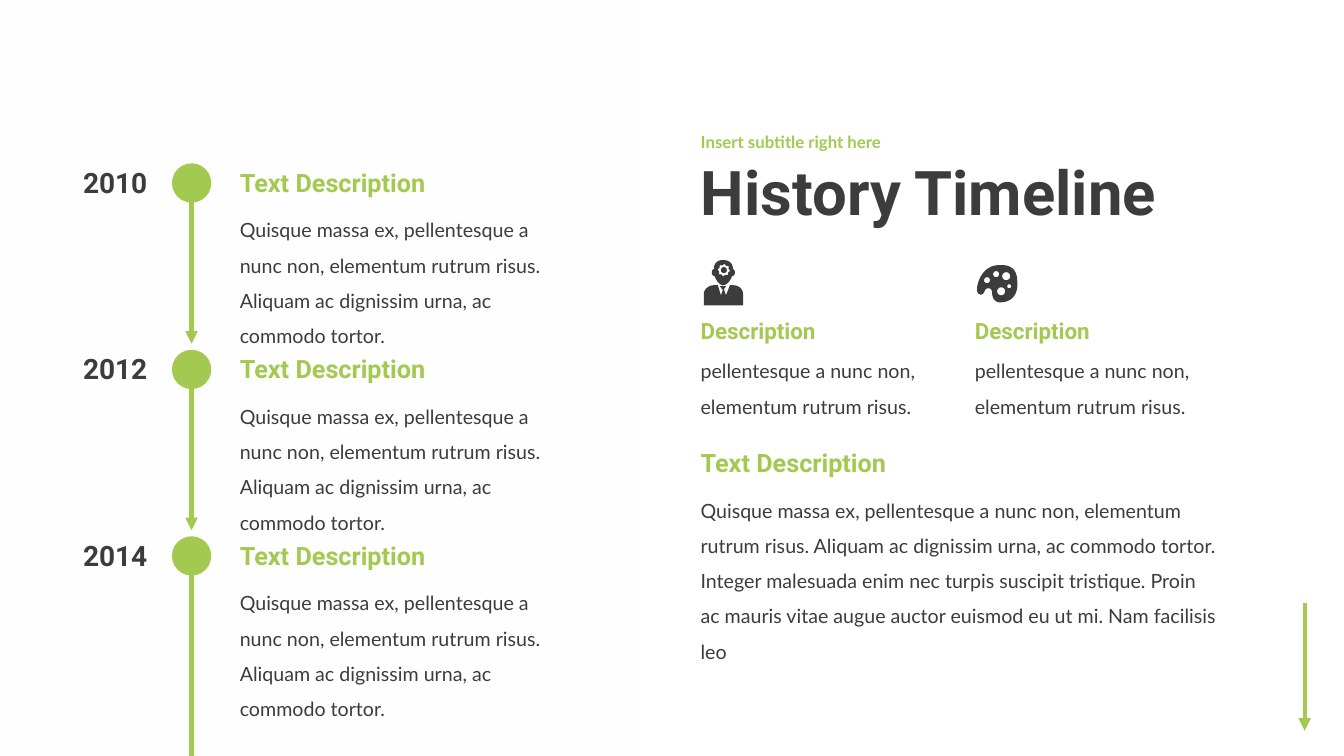
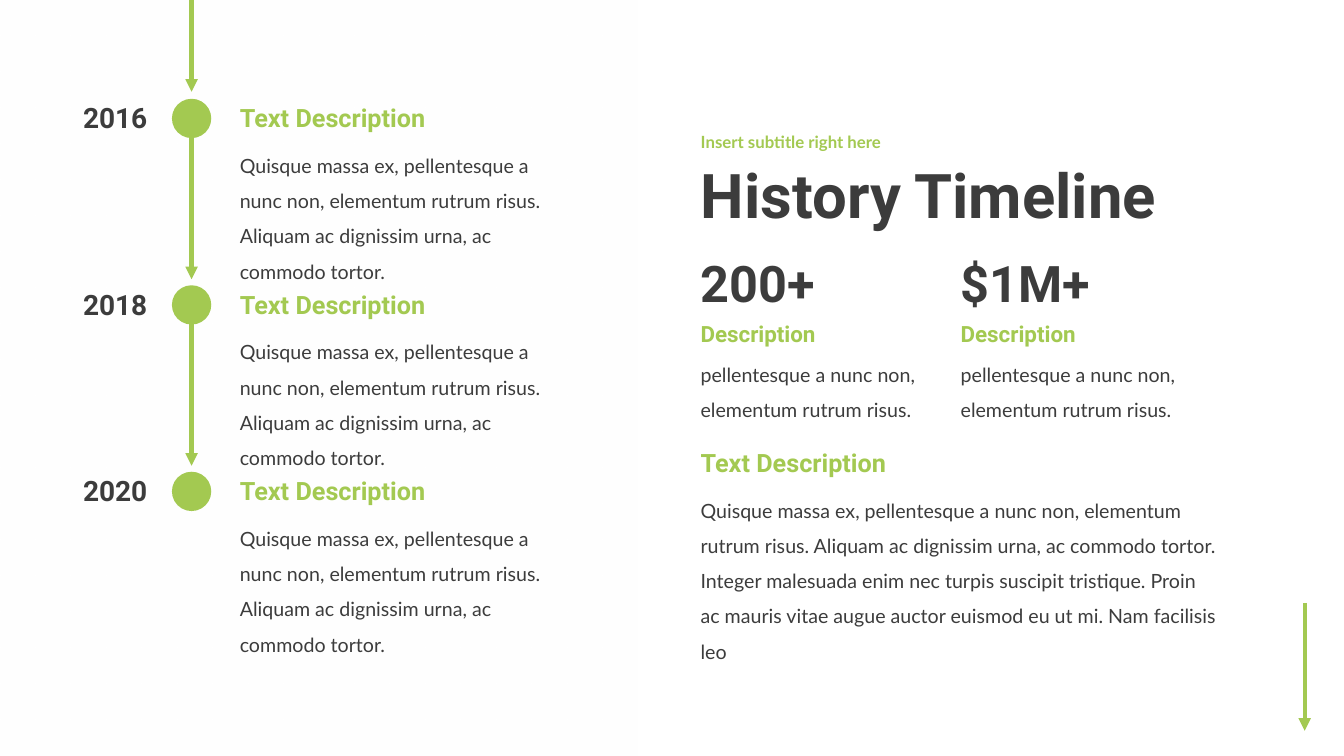
"""Build two history timeline slides."""
import math
from dataclasses import dataclass

import lxml.etree
import pptx
import pptx.dml.color
import pptx.enum.shapes
import pptx.enum.text
import pptx.oxml.ns
import pptx.util

Inches = pptx.util.Inches


@dataclass(frozen=True)
class TextStyle:
    font: str
    size: int
    color: str
    bold: bool = True
    spacing: float = 1.0


class Theme:
    green = "A3C951"
    dark = "3C3C3C"
    white = "FFFFFF"
    line_width = 3
    title = TextStyle("Roboto", 44, dark, spacing=0.9)
    subtitle = TextStyle("Lato", 12, green, spacing=0.9)
    figure = TextStyle("Roboto", 36, dark)
    year = TextStyle("Roboto", 20, dark)
    heading = TextStyle("Roboto", 18, green)
    subheading = TextStyle("Roboto", 16, green)
    body = TextStyle("Lato", 14, dark, bold=False, spacing=1.5)


SUMMARY = ("Quisque massa ex, pellentesque a nunc non, elementum rutrum risus. "
           "Aliquam ac dignissim urna, ac commodo tortor.")
DETAILS = SUMMARY + (" Integer malesuada enim nec turpis suscipit tristique. Proin ac mauris "
                     "vitae augue auctor euismod eu ut mi. Nam facilisis leo")
FEATURE = "pellentesque a nunc non, elementum rutrum risus."

COLUMN_LEFT = 6.85
AXIS_X = 1.9
DOT_SIZE = 0.39
STEP = 1.85
SLIDE_HEIGHT = 7.5

HEAD = ((7.27, 2.67), (
    ((7.27, 2.61), (7.23, 2.58), (7.17, 2.58)),
    ((7.12, 2.58), (7.08, 2.61), (7.08, 2.67)),
    ((7.07, 2.67), (7.06, 2.69), (7.06, 2.7)),
    ((7.06, 2.72), (7.07, 2.74), (7.09, 2.74)),
    ((7.1, 2.78), (7.14, 2.83), (7.17, 2.83)),
    ((7.21, 2.83), (7.25, 2.78), (7.26, 2.74)),
    ((7.28, 2.74), (7.29, 2.72), (7.29, 2.7)),
    ((7.29, 2.69), (7.28, 2.67), (7.27, 2.67))))
TORSO = ((7.27, 2.83), (
    ((7.24, 2.83),), ((7.2, 2.93),), ((7.18, 2.87),), ((7.2, 2.84),),
    ((7.14, 2.84),), ((7.17, 2.88),), ((7.15, 2.93),), ((7.12, 2.83),), ((7.08, 2.83),),
    ((7.03, 2.83), (6.98, 2.87), (6.98, 2.92)),
    ((6.98, 3.03),), ((7.37, 3.03),), ((7.37, 2.92),),
    ((7.37, 2.87), (7.33, 2.83), (7.27, 2.83))))
PALETTE = ((9.91, 2.63), (
    ((9.76, 2.63), (9.69, 2.78), (9.69, 2.88)),
    ((9.69, 2.91), (9.74, 2.96), (9.77, 2.88)),
    ((9.78, 2.85), (9.84, 2.85), (9.84, 2.9)),
    ((9.84, 2.96), (9.87, 3), (9.92, 3)),
    ((10.07, 3), (10.1, 2.87), (10.09, 2.8)),
    ((10.09, 2.72), (10.07, 2.62), (9.91, 2.63))))
PAINT_WELLS = ((9.79, 2.78, 0.03), (9.88, 2.72, 0.03), (9.93, 2.89, 0.04),
               (10.01, 2.84, 0.02), (9.98, 2.74, 0.04))


def bezier_point(controls, t):
    degree = len(controls) - 1
    weights = [math.comb(degree, i) * t ** i * (1 - t) ** (degree - i)
               for i in range(degree + 1)]
    return tuple(sum(w * c[axis] for w, c in zip(weights, controls)) for axis in (0, 1))


def trace(start, segments):
    points = [start]
    for segment in segments:
        controls = (points[-1], *segment)
        steps = 1 if len(segment) == 1 else 12
        points += [bezier_point(controls, i / steps) for i in range(1, steps + 1)]
    return points


def ring(x, y, radii, count):
    turns = [2 * math.pi * i / count for i in range(count)]
    return [(x + radii[i % len(radii)] * math.cos(turn),
             y + radii[i % len(radii)] * math.sin(turn)) for i, turn in enumerate(turns)]


class Deck:
    """Hold the theme and the current slide, and draw each kind of element."""

    def __init__(self, theme):
        self.theme = theme
        self.presentation = pptx.Presentation()
        self.presentation.slide_width = Inches(13.33)
        self.presentation.slide_height = Inches(SLIDE_HEIGHT)
        self.slide = None

    def rgb(self, color):
        return pptx.dml.color.RGBColor.from_string(color)

    def new_slide(self, title_top, panel_alphas):
        self.slide = self.presentation.slides.add_slide(self.presentation.slide_layouts[0])
        self.panel(panel_alphas)
        title, subtitle = self.slide.placeholders
        self.placeholder(title, "History Timeline", self.theme.title, title_top, 1.03)
        self.placeholder(subtitle, "Insert subtitle right here", self.theme.subtitle, 1.23, 0.38)
        self.line(12.94, 5.98, 7.25)

    def panel(self, alphas):
        panel = self.slide.shapes.add_shape(
            pptx.enum.shapes.MSO_SHAPE.RECTANGLE, 0, 0, Inches(6.32), Inches(SLIDE_HEIGHT))
        panel.shadow.inherit = False
        panel.line.fill.background()
        panel.fill.gradient()
        panel.fill.gradient_angle = 270
        for stop in panel.fill.gradient_stops:
            stop.color.rgb = self.rgb(self.theme.white)
        colors = panel.element.xpath(".//a:gs/a:srgbClr")
        for color, alpha in zip(colors, alphas):
            lxml.etree.SubElement(color, pptx.oxml.ns.qn("a:alpha"), val=str(alpha * 1000))

    def fill_text(self, frame, content, style, align=pptx.enum.text.PP_ALIGN.LEFT):
        frame.word_wrap = True
        frame.text = content
        paragraph = frame.paragraphs[0]
        paragraph.alignment = align
        paragraph.line_spacing = style.spacing
        paragraph.space_before = pptx.util.Pt(0)
        paragraph.font.name = style.font
        paragraph.font.size = pptx.util.Pt(style.size)
        paragraph.font.bold = style.bold
        paragraph.font.color.rgb = self.rgb(style.color)

    def placeholder(self, holder, content, style, top, height):
        holder.left, holder.top = Inches(COLUMN_LEFT), Inches(top)
        holder.width, holder.height = Inches(7.5), Inches(height)
        holder.text_frame.auto_size = pptx.enum.text.MSO_AUTO_SIZE.NONE
        holder.text_frame.vertical_anchor = pptx.enum.text.MSO_ANCHOR.MIDDLE
        self.fill_text(holder.text_frame, content, style)

    def text(self, content, style, left, top, width, height,
             align=pptx.enum.text.PP_ALIGN.LEFT):
        box = self.slide.shapes.add_textbox(
            Inches(left), Inches(top), Inches(width), Inches(height))
        self.fill_text(box.text_frame, content, style, align)
        box.text_frame.auto_size = pptx.enum.text.MSO_AUTO_SIZE.SHAPE_TO_FIT_TEXT

    def paint(self, shape, color):
        shape.shadow.inherit = False
        shape.fill.solid()
        shape.fill.fore_color.rgb = self.rgb(color)
        shape.line.fill.background()

    def dot(self, x, y, size, color):
        dot = self.slide.shapes.add_shape(
            pptx.enum.shapes.MSO_SHAPE.OVAL, Inches(x - size / 2), Inches(y - size / 2),
            Inches(size), Inches(size))
        self.paint(dot, color)

    def line(self, x, start, end, arrow=True):
        line = self.slide.shapes.add_connector(
            pptx.enum.shapes.MSO_CONNECTOR.STRAIGHT,
            Inches(x), Inches(start), Inches(x), Inches(end))
        line.line.color.rgb = self.rgb(self.theme.green)
        line.line.width = pptx.util.Pt(self.theme.line_width)
        properties = line.element.spPr
        if arrow:
            stroke = properties.find(pptx.oxml.ns.qn("a:ln"))
            lxml.etree.SubElement(stroke, pptx.oxml.ns.qn("a:tailEnd"), type="triangle")
        lxml.etree.SubElement(properties, pptx.oxml.ns.qn("a:effectLst"))

    def silhouette(self, *contours):
        outlines = [[(Inches(x), Inches(y)) for x, y in contour] for contour in contours]
        builder = self.slide.shapes.build_freeform(*outlines[0][0])
        builder.add_line_segments(outlines[0][1:])
        for hole in outlines[1:]:
            builder.move_to(*hole[0])
            builder.add_line_segments(hole[1:])
        self.paint(builder.convert_to_shape(), self.theme.dark)

    def thinker_icon(self):
        self.silhouette(trace(*TORSO))
        gear = ring(7.18, 2.68, (0.06, 0.06, 0.05, 0.05), 32)
        self.silhouette(trace(*HEAD), gear)
        self.dot(7.18, 2.68, 0.06, self.theme.dark)

    def palette_icon(self):
        wells = [ring(x, y, (radius,), 24) for x, y, radius in PAINT_WELLS]
        self.silhouette(trace(*PALETTE), *wells)

    def milestone(self, year, top):
        self.dot(AXIS_X, top + DOT_SIZE / 2, DOT_SIZE, self.theme.green)
        self.text(year, self.theme.year, 0.57, top - 0.03, 0.99, 0.44,
                  pptx.enum.text.PP_ALIGN.RIGHT)
        self.text(SUMMARY, self.theme.body, 2.28, top + 0.38, 3.47, 1.12)
        self.text("Text Description", self.theme.heading, 2.28, top - 0.01, 2.92, 0.4)

    def timeline(self, years, first_top):
        tops = [first_top + i * STEP for i in range(len(years))]
        for year, top in zip(years, tops):
            self.milestone(year, top)
        for top in tops[:-1]:
            self.line(AXIS_X, top + 0.38, top + 1.79)
        return tops

    def feature(self, left, top):
        self.text("Description", self.theme.subheading, left, top, 2, 0.37)
        self.text(FEATURE, self.theme.body, left, top + 0.3, 2.53, 0.77)

    def details(self):
        self.text("Text Description", self.theme.heading, COLUMN_LEFT, 4.39, 2.92, 0.4)
        self.text(DETAILS, self.theme.body, COLUMN_LEFT, 4.78, 5.33, 1.48)


def main():
    deck = Deck(Theme())

    deck.new_slide(title_top=1.42, panel_alphas=(80, 100))
    tops = deck.timeline(("2010", "2012", "2014"), 1.62)
    deck.line(AXIS_X, tops[-1] + 0.38, SLIDE_HEIGHT, arrow=False)
    deck.thinker_icon()
    deck.palette_icon()
    for left in (COLUMN_LEFT, 9.57):
        deck.feature(left, 3.1)
    deck.details()

    deck.new_slide(title_top=1.45, panel_alphas=(100, 80))
    tops = deck.timeline(("2016", "2018", "2020"), 0.98)
    deck.line(AXIS_X, 0, tops[0] - 0.07)
    for left, figure in ((COLUMN_LEFT, "200+"), (9.43, "$1M+")):
        deck.text(figure, deck.theme.figure, left, 2.45, 2, 0.71)
        deck.feature(left, 3.13)
    deck.details()

    deck.presentation.save("out.pptx")


if __name__ == "__main__":
    main()
